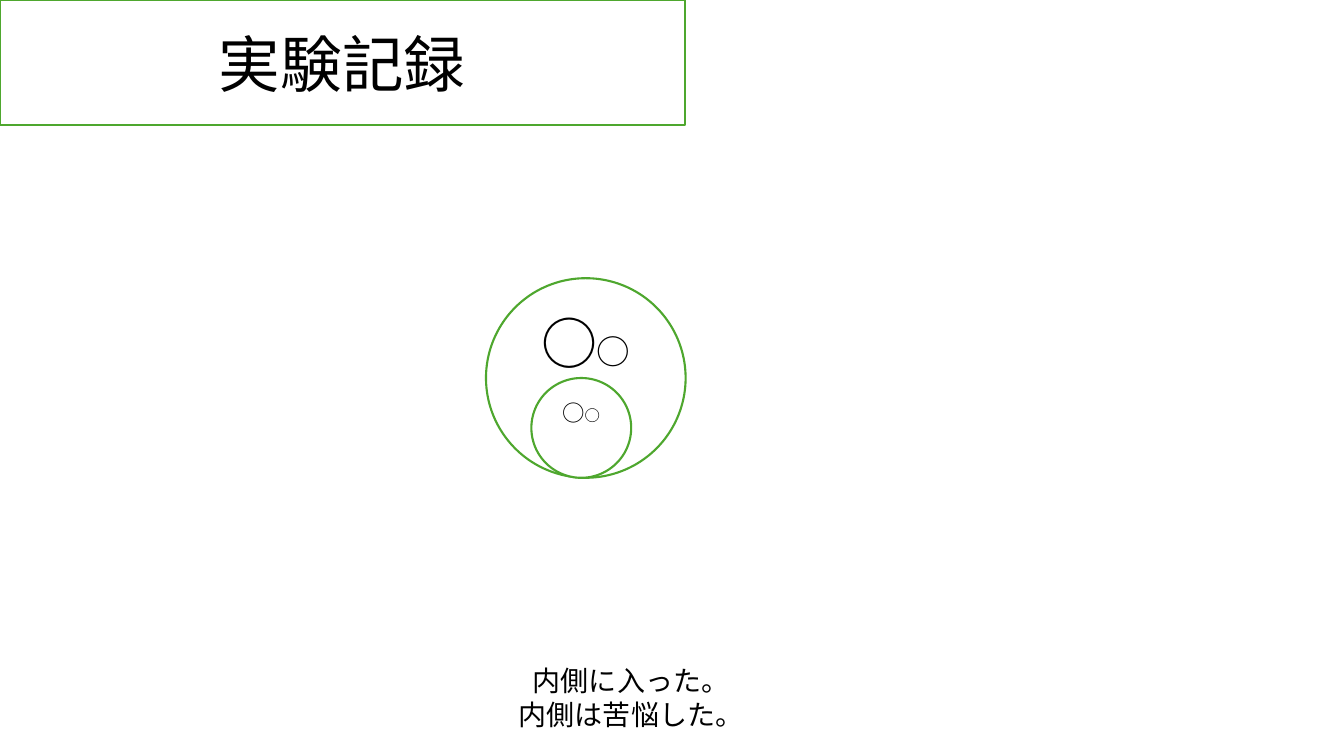
from lxml import etree
from pptx import Presentation
from pptx.dml.color import RGBColor
from pptx.enum.shapes import MSO_SHAPE
from pptx.enum.text import MSO_ANCHOR, PP_ALIGN
from pptx.oxml.ns import qn
from pptx.util import Inches, Pt

CENTER = PP_ALIGN.CENTER
MIDDLE = MSO_ANCHOR.MIDDLE
OVAL = MSO_SHAPE.OVAL
TITLE_ONLY = 5
FONT = "Noto Sans CJK JP"
GREEN, WHITE, BLACK = "4EA72E", "FFFFFF", "000000"


def rgb(value):
    return RGBColor.from_string(value)


def place(sp, left, top, width, height):
    sp.left, sp.top = Inches(left), Inches(top)
    sp.width, sp.height = Inches(width), Inches(height)


def outline(sp):
    """White fill with a green border."""
    sp.fill.solid()
    sp.fill.fore_color.rgb = rgb(WHITE)
    sp.line.color.rgb = rgb(GREEN)
    sp.line.width = Pt(1.5)


def format_run(r, size):
    r.font.size = Pt(size)
    r.font.name = FONT
    r.font.color.rgb = rgb(BLACK)
    ea = etree.SubElement(r.font._element, qn("a:ea"))
    ea.set("typeface", FONT)


def center_text(tf):
    tf.word_wrap = True
    tf.vertical_anchor = MIDDLE
    for p in tf.paragraphs:
        p.alignment = CENTER


def add_title(s, text):
    title = s.shapes.title
    place(title, 0, 0, 6.79, 1.24)
    outline(title)
    title.text_frame.text = text
    center_text(title.text_frame)
    format_run(title.text_frame.paragraphs[0].runs[0], 44)


def add_caption(s, lines):
    box = s.shapes.add_textbox(Inches(0.36), Inches(5.42), Inches(11.8), Inches(2.99))
    tf = box.text_frame
    tf.text = "\n".join(lines)
    center_text(tf)
    for p in tf.paragraphs:
        format_run(p.runs[0], 20)


def add_face(s, left, top, diameter, eye_sizes, lift):
    """Circle with two ring glyphs raised above its middle by the bottom inset."""
    sp = s.shapes.add_shape(OVAL, Inches(left), Inches(top), Inches(diameter), Inches(diameter))
    sp.shadow.inherit = False
    outline(sp)
    tf = sp.text_frame
    center_text(tf)
    tf.margin_bottom = Inches(lift)
    for size in eye_sizes:
        r = tf.paragraphs[0].add_run()
        r.text = "○"
        format_run(r, size)


def main():
    prs = Presentation()
    prs.slide_width, prs.slide_height = Inches(13.33), Inches(7.5)
    s = prs.slides.add_slide(prs.slide_layouts[TITLE_ONLY])
    add_title(s, "実験記録")
    add_caption(s, ["内側に入った。", "内側は苦悩した。"])
    add_face(s, 4.82, 2.76, 1.98, (40, 24), 0.77)
    add_face(s, 5.27, 3.75, 0.99, (16, 11), 0.35)
    prs.save("out.pptx")


if __name__ == "__main__":
    main()
